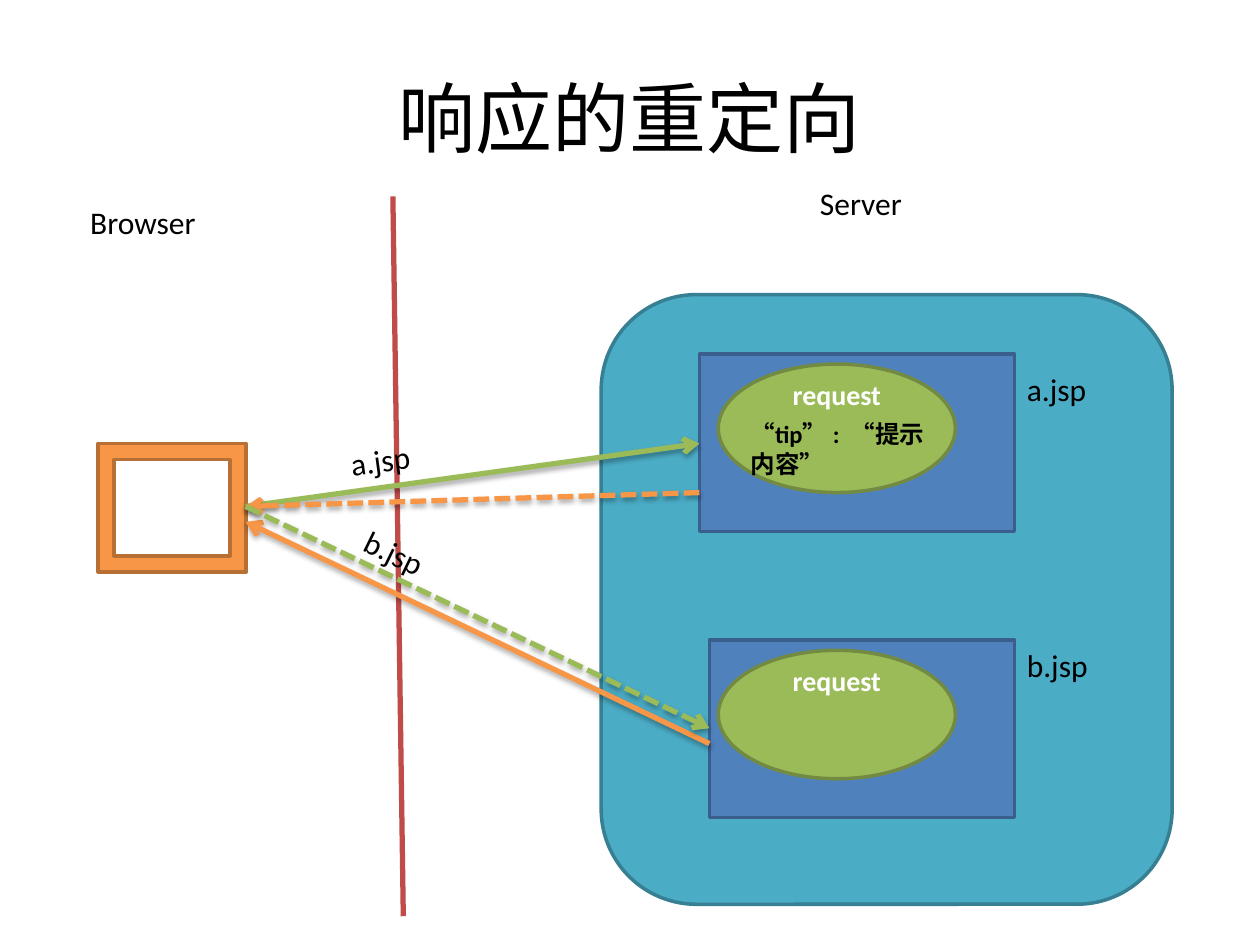
from lxml import etree
from pptx import Presentation
from pptx.dml.color import RGBColor
from pptx.enum.dml import MSO_LINE
from pptx.enum.shapes import MSO_CONNECTOR, MSO_SHAPE
from pptx.enum.text import MSO_ANCHOR, PP_ALIGN
from pptx.oxml.ns import qn
from pptx.util import Cm, Pt

ROUND = MSO_SHAPE.ROUNDED_RECTANGLE
RECT = MSO_SHAPE.RECTANGLE
FRAME = MSO_SHAPE.FRAME
OVAL = MSO_SHAPE.OVAL
STRAIGHT = MSO_CONNECTOR.STRAIGHT
DASH = MSO_LINE.SQUARE_DOT
MIDDLE = MSO_ANCHOR.MIDDLE
LEFT, CENTER = PP_ALIGN.LEFT, PP_ALIGN.CENTER
GREEN, ORANGE = "9BBB59", "F79646"


def paint(target, color):
    """Set a colour from a hex string."""
    target.rgb = RGBColor.from_string(color)


def write(frame, text, size=18, color="000000", bold=False, align=LEFT):
    """Put formatted text into a text frame."""
    frame.word_wrap = True
    para = frame.paragraphs[0]
    para.alignment = align
    run = para.add_run()
    run.text = text
    run.font.name = "Calibri"
    run.font.size = Pt(size)
    run.font.bold = bold
    paint(run.font.color, color)


def label(slide, box, text, turn=0, **form):
    """Add a text box, turned if asked."""
    item = slide.shapes.add_textbox(*map(Cm, box))
    item.rotation = turn
    write(item.text_frame, text, **form)


def block(slide, kind, box, fill, edge):
    """Add a filled and outlined shape."""
    item = slide.shapes.add_shape(kind, *map(Cm, box))
    item.shadow.inherit = False
    item.fill.solid()
    paint(item.fill.fore_color, fill)
    paint(item.line.color, edge)
    item.line.width = Pt(2)
    return item


def request(slide, top):
    """Add a request oval with its text in the upper part."""
    oval = block(slide, OVAL, (14.48, top, 4.78, 2.59), GREEN, "738A42")
    frame = oval.text_frame
    frame.vertical_anchor = MIDDLE
    frame.margin_bottom = Cm(1.5)
    write(frame, "request", size=16, color="FFFFFF", bold=True, align=CENTER)


def link(slide, start, end, color, dash=None):
    """Add a straight line without shadow."""
    line = slide.shapes.add_connector(STRAIGHT, *map(Cm, start + end))
    paint(line.line.color, color)
    line.line.width = Pt(3)
    if dash:
        line.line.dash_style = dash
    etree.SubElement(line._element.spPr, qn("a:effectLst"))
    return line


def arrow(slide, start, end, color, dash=None):
    """Add a line with an open head and a soft shadow."""
    props = link(slide, start, end, color, dash)._element.spPr
    etree.SubElement(props.find(qn("a:ln")), qn("a:tailEnd"), type="arrow")
    shade = etree.SubElement(
        props.find(qn("a:effectLst")), qn("a:outerShdw"),
        blurRad=str(Pt(3.1)), dist=str(Pt(1.8)), dir="5400000", rotWithShape="0")
    black = etree.SubElement(shade, qn("a:srgbClr"), val="000000")
    etree.SubElement(black, qn("a:alpha"), val="35000")


def main():
    """Build the redirect slide."""
    deck = Presentation()
    deck.slide_width, deck.slide_height = Cm(25.4), Cm(19.05)
    slide = deck.slides.add_slide(deck.slide_layouts[5])
    title = slide.shapes.title
    title.left, title.top, title.width, title.height = map(
        Cm, (1.27, 0.76, 22.86, 3.18))
    title.text_frame.vertical_anchor = MIDDLE
    write(title.text_frame, "响应的重定向", size=44, align=CENTER)

    block(slide, ROUND, (12.12, 5.94, 11.51, 12.29), "4BACC6", "377F92")
    block(slide, FRAME, (1.98, 8.94, 2.98, 2.59), ORANGE, "B76F34")
    link(slide, (7.92, 3.96), (8.13, 18.47), "BF4C48")
    label(slide, (16.28, 3.58, 2.39, 1.02), "Server")
    label(slide, (1.57, 3.96, 2.98, 1.02), "Browser")

    pages = (("a.jsp", 14.1, 7.14, 7.34, 7.34),
             ("b.jsp", 14.3, 12.9, 13.11, 12.9))
    for name, left, top, oval, note in pages:
        block(slide, RECT, (left, top, 20.45 - left, 3.58), "4F81BD", "3A5F8C")
        request(slide, oval)
        label(slide, (20.45, note, 2.77, 1.02), name)
    label(slide, (14.88, 8.33, 4.17, 0.86), "“tip” :  “提示内容”",
          size=14, bold=True)

    port = (4.95, 10.21)
    arrow(slide, (14.3, 14.99), (4.95, 10.52), ORANGE)
    arrow(slide, port, (14.1, 8.94), GREEN)
    label(slide, (6.81, 8.71, 2.59, 1.02), "a.jsp", turn=352.2)
    arrow(slide, (14.1, 9.93), port, ORANGE, DASH)
    arrow(slide, port, (14.3, 14.68), GREEN, DASH)
    label(slide, (7.04, 10.82, 2.59, 1.02), "b.jsp", turn=25.9)
    deck.save("out.pptx")


main()
